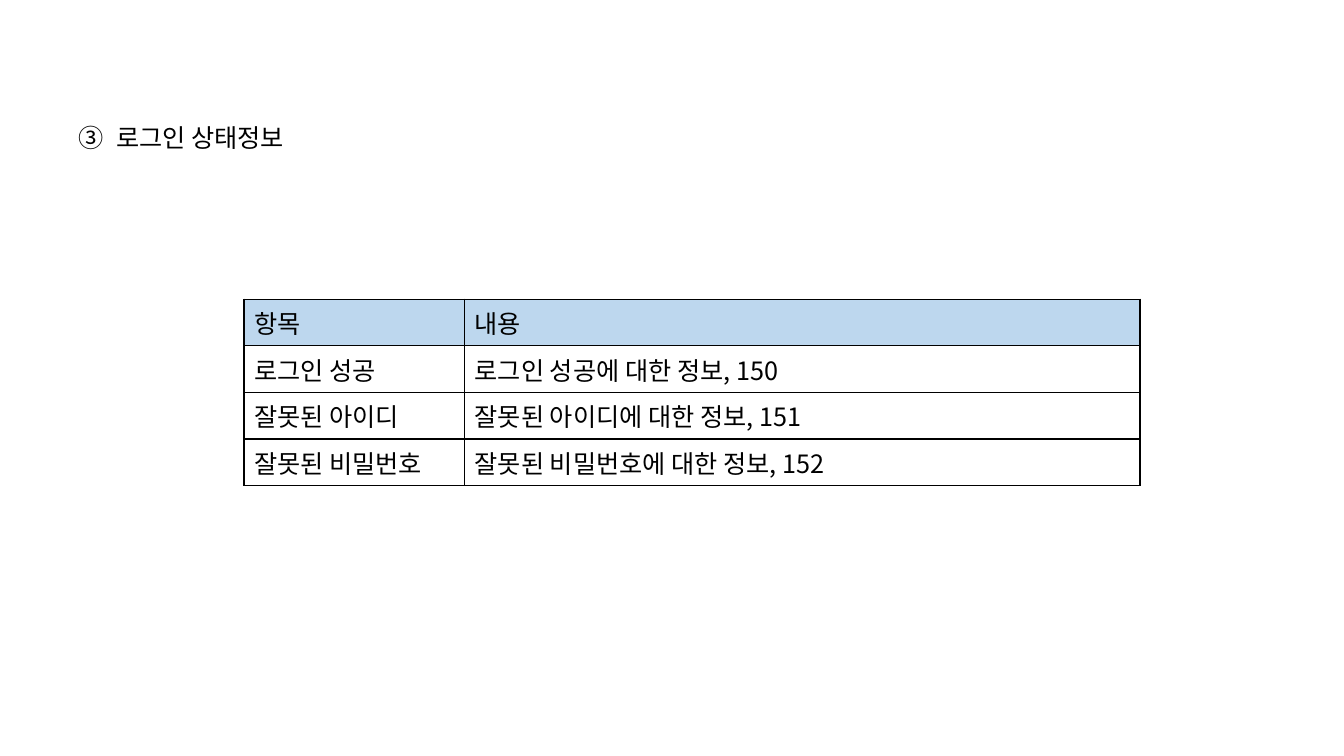
from lxml import etree
from pptx import Presentation
from pptx.dml.color import RGBColor
from pptx.enum.text import MSO_AUTO_SIZE
from pptx.oxml.ns import qn
from pptx.util import Cm, Pt

FONT = "Noto Sans CJK KR"
COLORS = {"ink": "000000", "head": "BDD7EE"}


def add_text(par, text):
    run = par.add_run()
    run.text = text
    run.font.size = Pt(18)
    run.font.name = FONT
    run.font.color.rgb = RGBColor.from_string(COLORS["ink"])
    etree.SubElement(run.font._element, qn("a:ea"), typeface=FONT)


def add_borders(cell):
    props = cell._tc.get_or_add_tcPr()
    for place, side in enumerate(("lnL", "lnR", "lnT", "lnB")):
        line = etree.Element(qn("a:" + side), w=str(Pt(1)))
        fill = etree.SubElement(line, qn("a:solidFill"))
        etree.SubElement(fill, qn("a:srgbClr"), val=COLORS["ink"])
        props.insert(place, line)


deck = Presentation()
deck.slide_width = Cm(33.87)
deck.slide_height = Cm(19.05)
slide = deck.slides.add_slide(deck.slide_layouts[6])

rows = [
    ("항목", "내용"),
    ("로그인 성공", "로그인 성공에 대한 정보, 150"),
    ("잘못된 아이디", "잘못된 아이디에 대한 정보, 151"),
    ("잘못된 비밀번호", "잘못된 비밀번호에 대한 정보, 152"),
]
widths = [5.56, 17.02]

table = slide.shapes.add_table(
    len(rows), len(widths), Cm(6.15), Cm(7.54), Cm(sum(widths)), Cm(4.12)
).table
table.horz_banding = False
for col, width in zip(table.columns, widths):
    col.width = Cm(width)
for r, row in enumerate(rows):
    table.rows[r].height = Cm(1.03)
    for c, text in enumerate(row):
        cell = table.cell(r, c)
        if r == 0:
            cell.fill.solid()
            cell.fill.fore_color.rgb = RGBColor.from_string(COLORS["head"])
        else:
            cell.fill.background()
        add_borders(cell)
        par = cell.text_frame.paragraphs[0]
        add_text(par, text)
        par.runs[0].font.bold = False

title = slide.shapes.add_textbox(Cm(1.73), Cm(2.97), Cm(6.2), Cm(1.03))
frame = title.text_frame
frame.word_wrap = False
frame.auto_size = MSO_AUTO_SIZE.SHAPE_TO_FIT_TEXT
par = frame.paragraphs[0]
props = par._p.get_or_add_pPr()
props.set("marL", str(Cm(0.95)))
props.set("indent", str(-Cm(0.95)))
etree.SubElement(props, qn("a:buFont"), typeface=FONT)
etree.SubElement(props, qn("a:buAutoNum"), type="circleNumDbPlain", startAt="3")
add_text(par, "로그인 상태정보")

deck.save("out.pptx")
